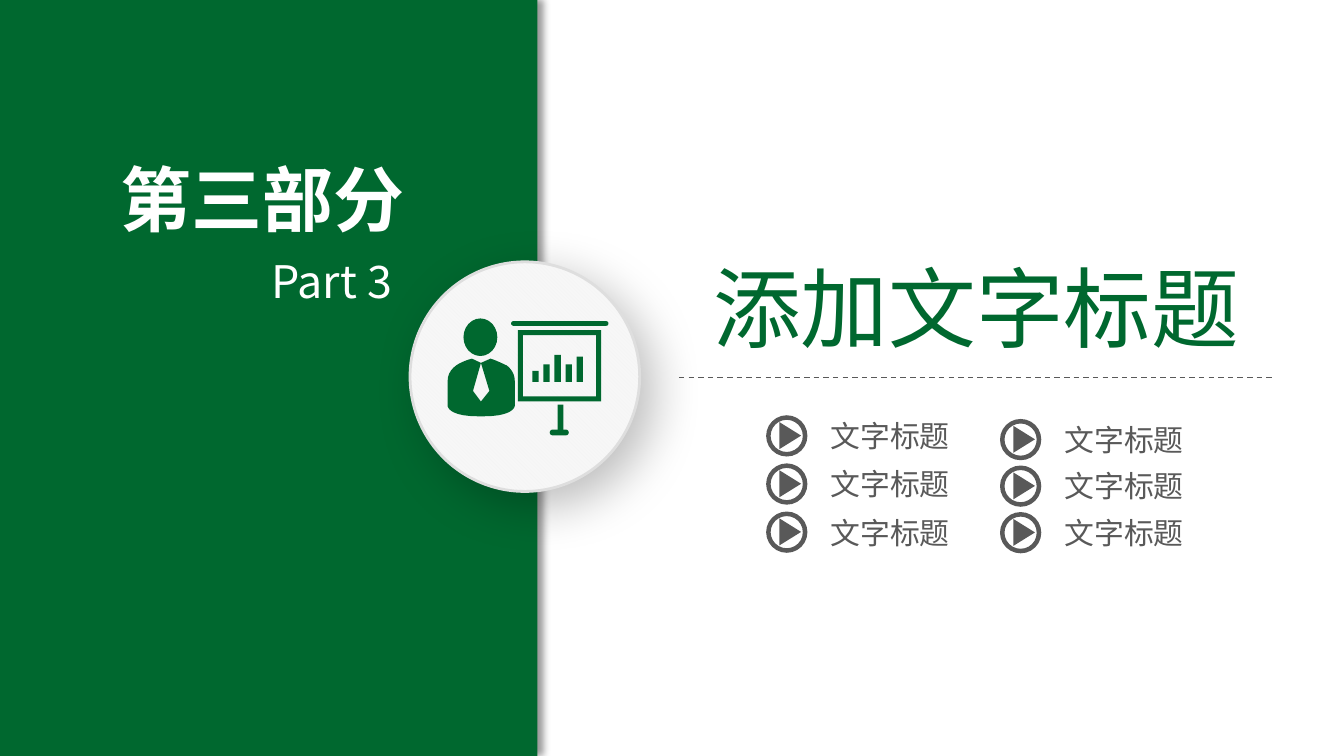
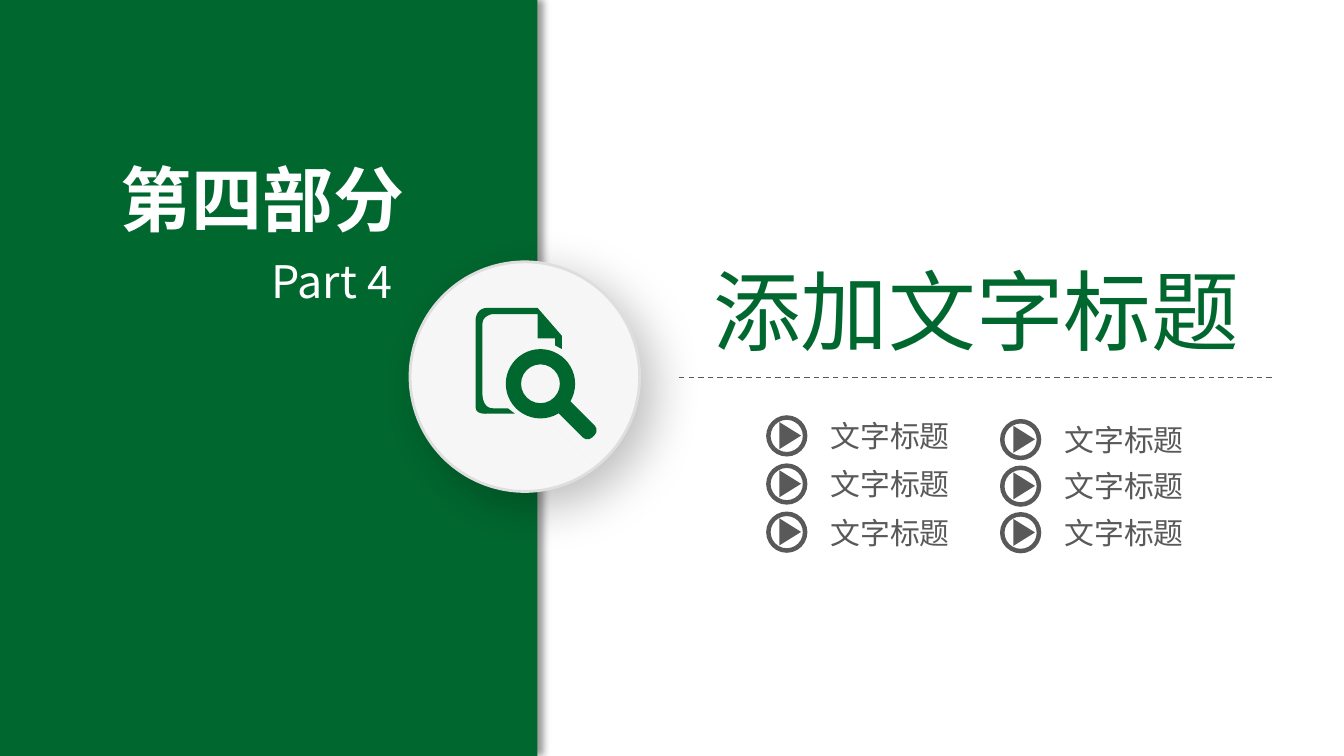
from dataclasses import dataclass

import pptx
import pptx.dml.color
import pptx.enum.dml
import pptx.enum.shapes
import pptx.enum.text
import pptx.oxml.ns
import pptx.util
from lxml import etree

Cm = pptx.util.Cm
Pt = pptx.util.Pt
qn = pptx.oxml.ns.qn
SHAPE = pptx.enum.shapes.MSO_SHAPE
ALIGN = pptx.enum.text.PP_ALIGN


@dataclass(frozen=True)
class Theme:
    green: str = "00682F"
    gray: str = "595959"
    white: str = "FFFFFF"
    disc_fore: str = "F3F3F3"
    disc_back: str = "F7F7F7"
    disc_edge: str = "DEDEDE"
    shadow: str = "000000"
    font: str = "Noto Sans CJK SC"
    title_size: int = 47
    part_size: int = 38
    number_size: int = 24
    item_size: int = 16


def rgb(color):
    return pptx.dml.color.RGBColor.from_string(color)


def flatten(start, steps, pieces=10):
    """Turn line steps (x, y) and cubic steps (six numbers) into points."""
    points = [start]
    for step in steps:
        if len(step) == 2:
            points.append(step)
            continue
        x0, y0 = points[-1]
        x1, y1, x2, y2, x3, y3 = step
        for index in range(1, pieces + 1):
            t = index / pieces
            a, b, c, d = (1 - t) ** 3, 3 * t * (1 - t) ** 2, 3 * t * t * (1 - t), t ** 3
            points.append((a * x0 + b * x1 + c * x2 + d * x3,
                           a * y0 + b * y1 + c * y2 + d * y3))
    return points


class Painter:
    def __init__(self, deck, theme):
        self.deck = deck
        self.theme = theme
        self.page = None
        self.canvas = None

    def new_page(self):
        self.page = self.deck.slides.add_slide(self.deck.slide_layouts[6])
        self.canvas = self.page.shapes

    def open_group(self):
        self.canvas = self.page.shapes.add_group_shape().shapes

    def close_group(self):
        self.canvas = self.page.shapes

    def paint(self, shape, color):
        shape.shadow.inherit = False
        shape.fill.solid()
        shape.fill.fore_color.rgb = rgb(color)
        shape.line.fill.background()
        return shape

    def shape(self, kind, left, top, width, height, color, adjust=None, turn=0):
        shape = self.canvas.add_shape(kind, Cm(left), Cm(top), Cm(width), Cm(height))
        if adjust is not None:
            shape.adjustments[0] = adjust
        shape.rotation = turn
        return self.paint(shape, color)

    def outline(self, start, steps, color):
        points = [(Cm(x), Cm(y)) for x, y in flatten(start, steps)]
        builder = self.canvas.build_freeform(*points[0])
        builder.add_line_segments(points[1:], close=True)
        return self.paint(builder.convert_to_shape(), color)

    def cast_shadow(self, shape, opacity, blur, distance, angle):
        effects = shape._element.spPr.find(qn("a:effectLst"))
        shadow = etree.SubElement(
            effects, qn("a:outerShdw"), blurRad=str(Pt(blur)), dist=str(Pt(distance)),
            dir=str(angle * 60000), algn="tl", rotWithShape="0")
        color = etree.SubElement(shadow, qn("a:srgbClr"), val=self.theme.shadow)
        etree.SubElement(color, qn("a:alpha"), val=str(opacity * 1000))

    def text(self, words, left, top, width, height, size, color,
             align=ALIGN.LEFT, bold=False, wrap=True, inset=(0.25, 0.13)):
        box = self.canvas.add_textbox(Cm(left), Cm(top), Cm(width), Cm(height))
        frame = box.text_frame
        frame.text = words
        frame.word_wrap = wrap
        frame.auto_size = pptx.enum.text.MSO_AUTO_SIZE.SHAPE_TO_FIT_TEXT
        frame.margin_left = frame.margin_right = Cm(inset[0])
        frame.margin_top = frame.margin_bottom = Cm(inset[1])
        para = frame.paragraphs[0]
        para.alignment = align
        span = para.runs[0]
        span.font.size = Pt(size)
        span.font.bold = bold
        span.font.color.rgb = rgb(color)
        span.font.name = self.theme.font
        etree.SubElement(span._r.rPr, qn("a:ea"), typeface=self.theme.font)

    def dashed_line(self, left, right, top):
        line = self.canvas.add_connector(
            pptx.enum.shapes.MSO_CONNECTOR.STRAIGHT, Cm(left), Cm(top), Cm(right), Cm(top))
        line.line.color.rgb = rgb(self.theme.gray)
        line.line.width = Pt(0.75)
        line.line.dash_style = pptx.enum.dml.MSO_LINE.DASH
        etree.SubElement(line._element.spPr, qn("a:effectLst"))

    def disc(self, left, top, size):
        disc = self.shape(SHAPE.OVAL, left, top, size, size, self.theme.disc_back)
        disc.fill.patterned()
        disc.fill.pattern = pptx.enum.dml.MSO_PATTERN.DARK_DOWNWARD_DIAGONAL
        disc.fill.fore_color.rgb = rgb(self.theme.disc_fore)
        disc.fill.back_color.rgb = rgb(self.theme.disc_back)
        disc.line.color.rgb = rgb(self.theme.disc_edge)
        disc.line.width = Pt(1.5)
        self.cast_shadow(disc, 25, 27, 10, 45)

    def item(self, words, left, top):
        gray = self.theme.gray
        self.open_group()
        self.shape(SHAPE.DONUT, left, top, 0.78, 0.78, gray, adjust=0.11)
        self.shape(SHAPE.ISOSCELES_TRIANGLE, left + 0.2, top + 0.18, 0.51, 0.41, gray, turn=90)
        self.text(words, left + 0.97, top - 0.08, 2.79, 0.94,
                  self.theme.item_size, gray, wrap=False)
        self.close_group()


def draw_presenter(painter):
    green = painter.theme.green
    # Board with its rail and stand
    painter.shape(SHAPE.ROUNDED_RECTANGLE, 9.66, 6.07, 1.84, 0.09, green, adjust=0.5)
    painter.shape(SHAPE.RECTANGLE, 10.54, 7.65, 0.11, 0.5, green)
    painter.shape(SHAPE.ROUNDED_RECTANGLE, 10.39, 8.12, 0.36, 0.11, green, adjust=0.5)
    painter.shape(SHAPE.FRAME, 9.79, 6.24, 1.57, 1.35, green, adjust=0.07)
    # Bars on the board
    for index, height in enumerate((0.21, 0.33, 0.51, 0.33, 0.48)):
        painter.shape(SHAPE.RECTANGLE, 10.06 + 0.21 * index, 7.22 - height, 0.12, height, green)
    # Person with a tie
    painter.outline((9.58, 6.91), [
        (9.47, 6.86, 9.37, 6.81, 9.27, 6.78),
        (9.09, 6.86), (9.25, 7.39), (9.09, 7.59), (8.94, 7.39), (9.09, 6.86), (8.92, 6.78),
        (8.74, 6.83, 8.46, 6.93, 8.46, 7.21), (8.46, 7.67),
        (8.46, 7.67, 8.46, 7.87, 9.04, 7.87), (9.14, 7.87),
        (9.73, 7.87, 9.73, 7.67, 9.73, 7.67), (9.73, 7.21),
        (9.73, 7.09, 9.68, 6.99, 9.58, 6.91)], green)
    painter.shape(SHAPE.OVAL, 8.76, 6.02, 0.64, 0.71, green)


def draw_search(painter):
    green = painter.theme.green
    # Magnifier
    painter.shape(SHAPE.DONUT, 9.56, 6.6, 1.31, 1.31, green, adjust=0.22)
    painter.shape(SHAPE.ROUNDED_RECTANGLE, 10.38, 7.74, 0.98, 0.32, green, adjust=0.4, turn=45)
    # Sheet with a folded corner
    painter.outline((9.6, 7.72), [
        (9.32, 7.72), (9.12, 7.72, 9.12, 7.47, 9.12, 7.47),
        (9.12, 6.12), (9.12, 5.97, 9.3, 5.94, 9.3, 5.94),
        (10.16, 5.94), (10.16, 6.4), (10.49, 6.4), (10.49, 6.53), (10.62, 6.6),
        (10.62, 6.35), (10.16, 5.82), (9.22, 5.82),
        (8.99, 5.82, 8.99, 6.05, 8.99, 6.05),
        (8.99, 7.7), (8.99, 7.85, 9.22, 7.82, 9.22, 7.82), (9.73, 7.82)], green)


def section_page(painter, part, number, title_top, draw_icon):
    theme = painter.theme
    painter.new_page()
    # Band and disc
    band = painter.shape(SHAPE.RECTANGLE, 0, 0, 10.16, 14.29, theme.green)
    painter.cast_shadow(band, 40, 4, 3, 0)
    painter.disc(7.75, 4.95, 4.34)
    # Title and topics
    painter.text("添加文字标题", 12.27, title_top, 12.37, 2.24,
                 theme.title_size, theme.green, ALIGN.CENTER, inset=(0.2, 0.1))
    for left, top, pitch in ((14.48, 7.85, 0.91), (18.9, 7.92, 0.88)):
        for row in range(3):
            painter.item("文字标题", left, top + row * pitch)
    painter.dashed_line(12.83, 24.05, 7.14)
    # Icon
    painter.open_group()
    draw_icon(painter)
    painter.close_group()
    # Part labels
    painter.text(number, 2.64, 4.7, 4.95, 1.22, theme.number_size, theme.white,
                 ALIGN.RIGHT, inset=(0.18, 0.1))
    painter.text(part, 2.03, 2.84, 5.87, 1.83, theme.part_size, theme.white,
                 ALIGN.CENTER, bold=True, inset=(0.18, 0.1))


def main():
    deck = pptx.Presentation()
    deck.slide_width, deck.slide_height = Cm(25.4), Cm(14.29)
    painter = Painter(deck, Theme())
    section_page(painter, "第三部分", "Part 3", 4.7, draw_presenter)
    section_page(painter, "第四部分", "Part 4", 4.75, draw_search)
    deck.save("out.pptx")


if __name__ == "__main__":
    main()
